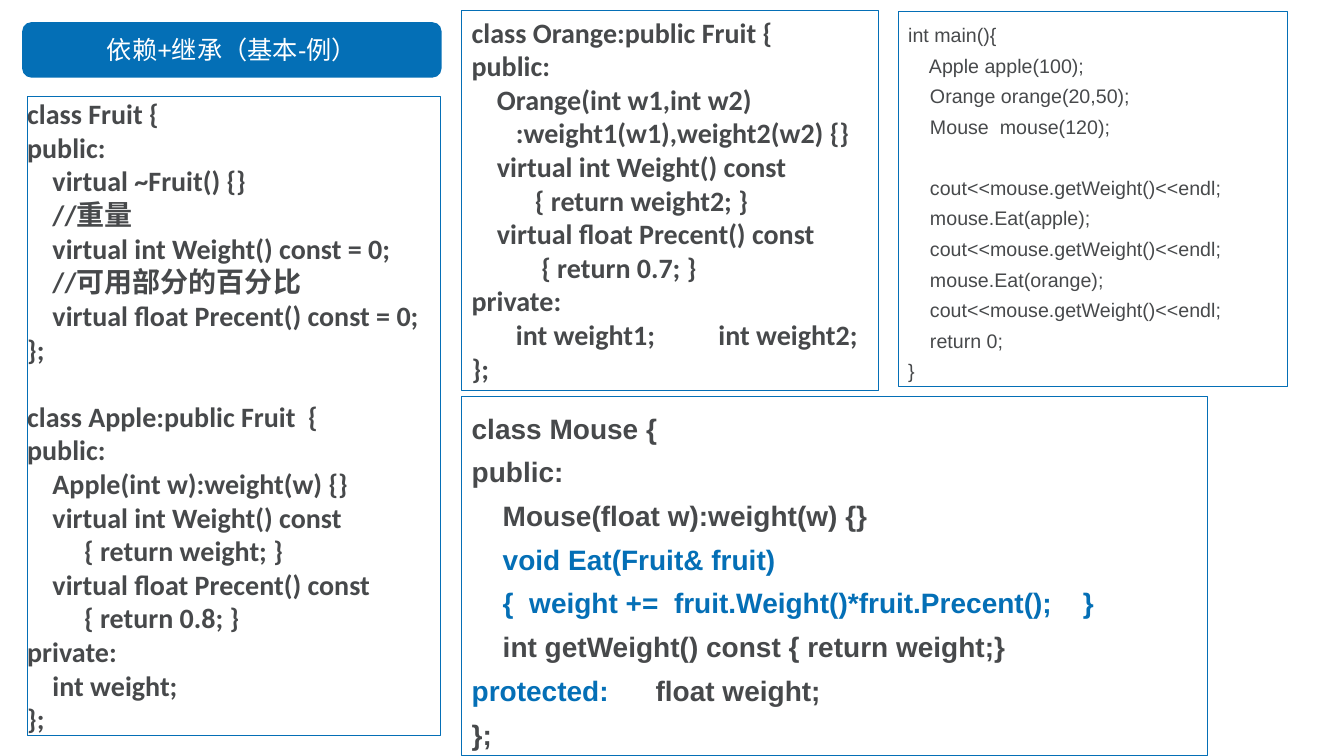
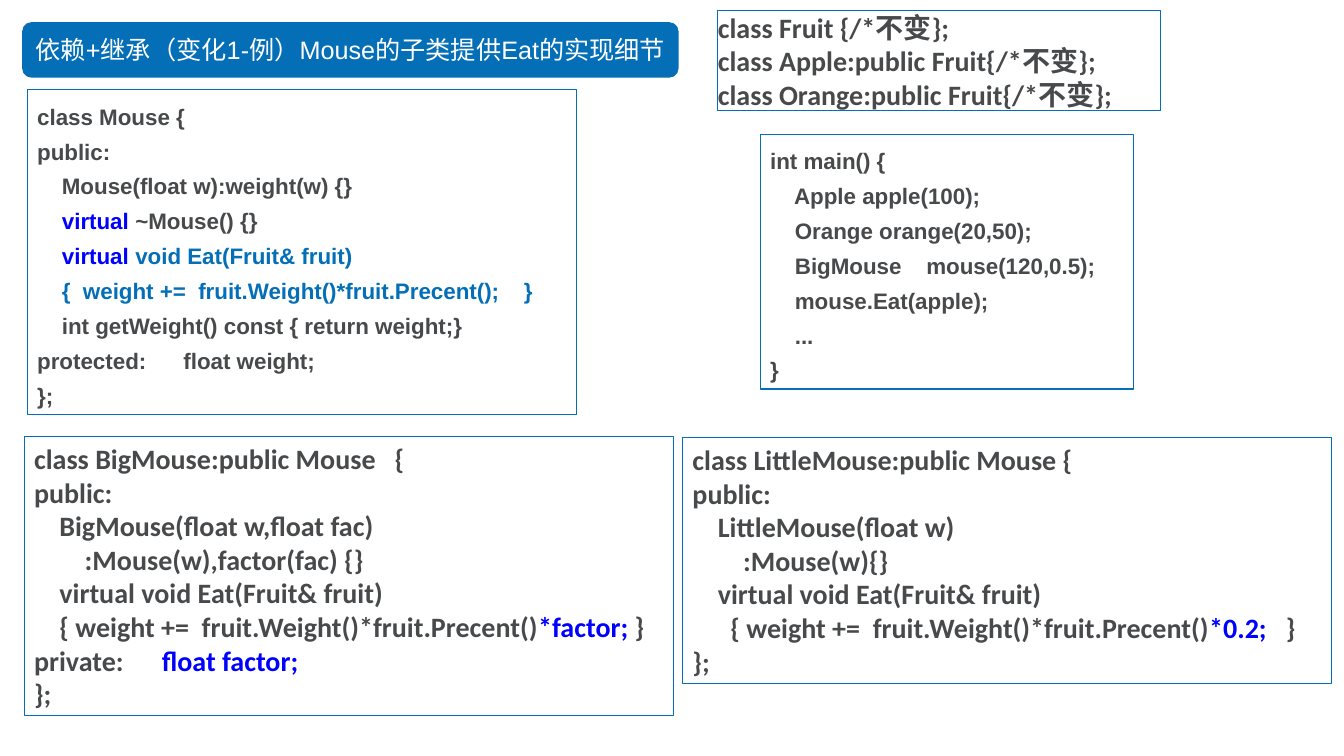
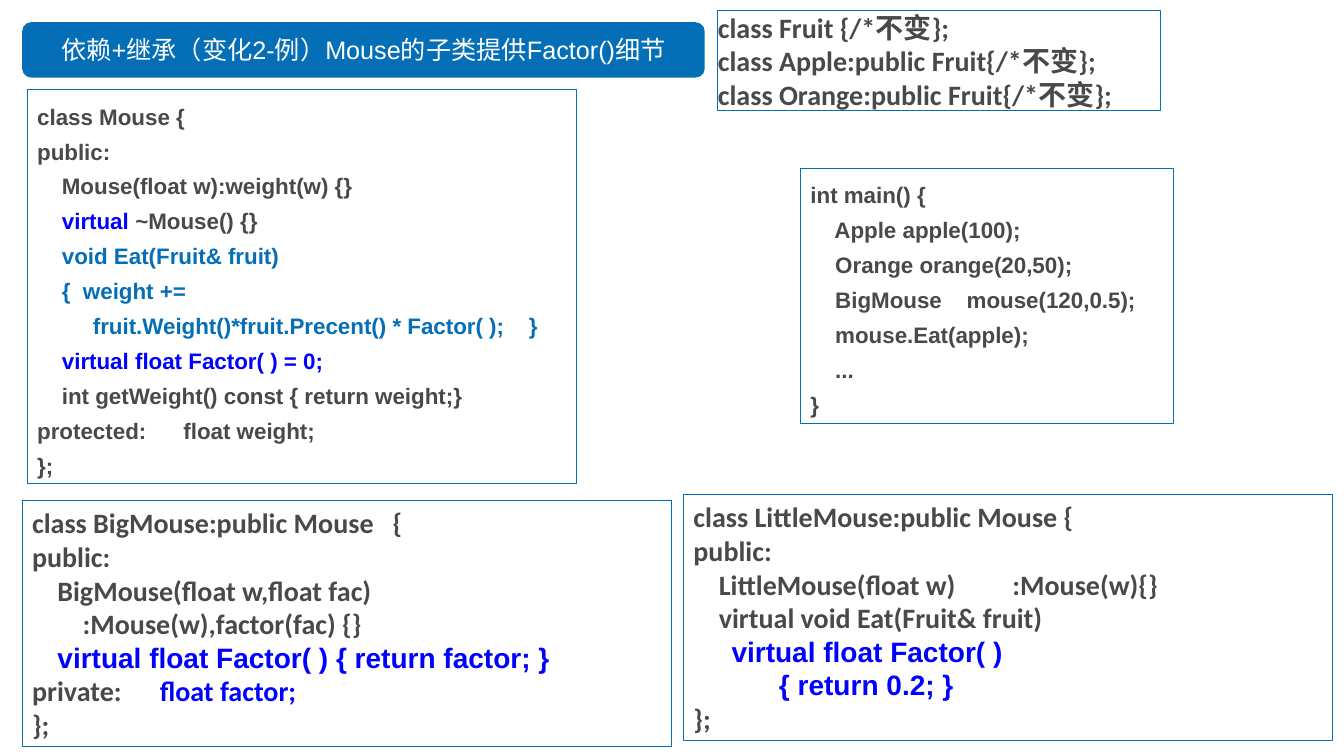
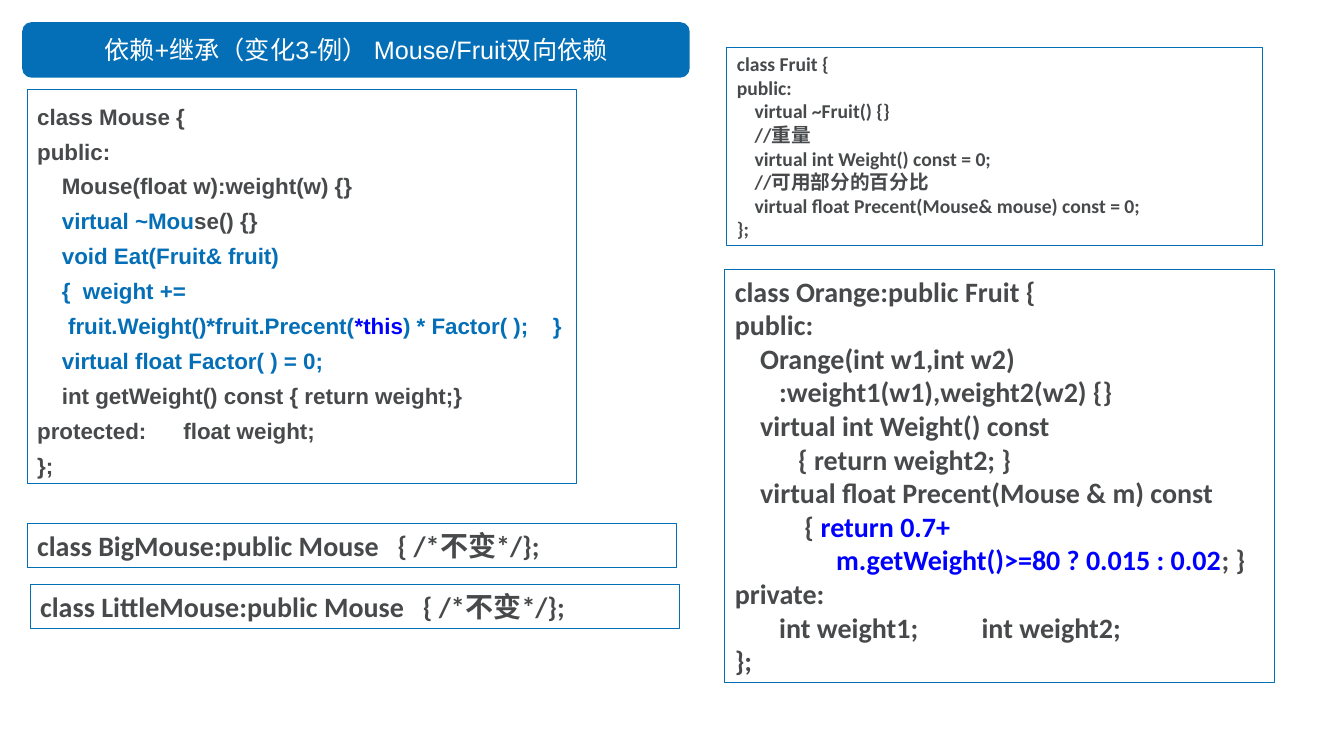
from pptx import Presentation
from pptx import util as u
from pptx.dml.color import RGBColor
from pptx.enum import shapes, text

COLORS = {"accent": "046FB6", "code": "47494B", "hot": "0000FF", "white": "FFFFFF"}

# Code formats: font, size, bold, line spacing, line height relative to size, margins
FORMATS = {
    "compact": dict(name="Calibri", size=20, bold=True, spacing=1.0),
    "flush": dict(name="Calibri", size=20, bold=True, spacing=1.0, flush=True),
    "small": dict(name="Calibri", size=14, bold=True, spacing=1.0),
    "large": dict(name="Arial", size=20, bold=True, spacing=1.3),
    "medium": dict(name="Arial", size=16, bold=True, spacing=1.3),
    "plain": dict(name="Arial", size=14, bold=False, spacing=1.3),
}
TITLE_FORMAT = dict(name="Arial", size=u.Pt(18))
TITLE_BAR = dict(left=0.22, top=0.22, height=0.55)

# A code line is a string or a list of (color, text) or (color, text, font) runs.


def fruit(percent_args=""):
    return [
        "class Fruit {",
        "public:",
        "    virtual ~Fruit() {}",
        "    //重量",
        "    virtual int Weight() const = 0;",
        "    //可用部分的百分比",
        f"    virtual float Precent({percent_args}) const = 0;",
        "};",
    ]


def orange(percent_args, percent_body):
    return [
        "class Orange:public Fruit {",
        "public:",
        "    Orange(int w1,int w2)",
        "       :weight1(w1),weight2(w2) {}",
        "    virtual int Weight() const",
        "          { return weight2; }",
        f"    virtual float Precent({percent_args}) const",
        *percent_body,
        "private:",
        "       int weight1;          int weight2;",
        "};",
    ]


def mouse(members, protected="protected:      float weight;"):
    return [
        "class Mouse {",
        "public:",
        "    Mouse(float w):weight(w) {}",
        *members,
        "    int getWeight() const { return weight;}",
        protected,
        "};",
    ]


def big_mouse(member):
    return [
        "class BigMouse:public Mouse   {",
        "public:",
        "    BigMouse(float w,float fac)",
        "        :Mouse(w),factor(fac) {}",
        *member,
        [("code", "private:      "), ("hot", "float factor;")],
        "};",
    ]


APPLE = [
    "class Apple:public Fruit  {",
    "public:",
    "    Apple(int w):weight(w) {}",
    "    virtual int Weight() const",
    "         { return weight; }",
    "    virtual float Precent() const",
    "         { return 0.8; }",
    "private:",
    "    int weight;",
    "};",
]
UNCHANGED = [
    "class Fruit {/*不变};",
    "class Apple:public Fruit{/*不变};",
    "class Orange:public Fruit{/*不变};",
]
FIRST_MAIN = [
    "int main(){",
    "    Apple apple(100);",
    "    Orange orange(20,50);",
    "    Mouse  mouse(120);",
    "",
    "    cout<<mouse.getWeight()<<endl;",
    "    mouse.Eat(apple);",
    "    cout<<mouse.getWeight()<<endl;",
    "    mouse.Eat(orange);",
    "    cout<<mouse.getWeight()<<endl;",
    "    return 0;",
    "}",
]
BIG_MAIN = [
    "int main() {",
    "    Apple apple(100);",
    "    Orange orange(20,50);",
    "    BigMouse    mouse(120,0.5);",
    "    mouse.Eat(apple);",
    "    ...",
    "}",
]
EAT = [("accent", "    void Eat(Fruit& fruit)")]
EAT_BODY = [("accent", "    {  weight +=  fruit.Weight()*fruit.Precent();    }")]
EAT_OPEN = [("accent", "    {  weight +=")]
DESTRUCTOR = [("hot", "    virtual "), ("code", "~Mouse() {}")]
VIRTUAL_EAT = "    virtual void Eat(Fruit& fruit)"
LITTLE_HEAD = ["class LittleMouse:public Mouse {", "public:"]

# Each slide: title, title width, boxes of (left, top, width, height, format, code)
SLIDES = [
    ("依赖+继承（基本-例）", 4.16, [
        (0.27, 0.96, 4.1, 6.34, "flush", fruit() + [""] + APPLE),
        (4.58, 0.1, 4.13, 3.77, "compact", orange("", ["           { return 0.7; }"])),
        (4.58, 3.93, 7.4, 3.57, "large", mouse(
            [EAT, EAT_BODY],
            [("accent", "protected: "), ("code", "     float weight;")])),
        (8.91, 0.11, 3.86, 3.73, "plain", FIRST_MAIN),
    ]),
    ("依赖+继承（变化1-例）Mouse的子类提供Eat的实现细节", 6.51, [
        (7.12, 0.1, 4.39, 1, "flush", UNCHANGED),
        (0.24, 4.33, 6.44, 2.77, "compact", big_mouse([
            VIRTUAL_EAT,
            [("code", "    { weight +=  fruit.Weight()*fruit.Precent()"),
             ("hot", "*factor;"), ("code", " }")]])),
        (0.27, 0.89, 5.45, 3.22, "medium", mouse([
            DESTRUCTOR,
            [("hot", "    virtual "), ("accent", "void Eat(Fruit& fruit)")],
            EAT_BODY])),
        (6.77, 4.34, 6.44, 2.44, "compact", LITTLE_HEAD + [
            "    LittleMouse(float w)",
            "        :Mouse(w){}",
            VIRTUAL_EAT,
            [("code", "      { weight +=  fruit.Weight()*fruit.Precent()"),
             ("hot", "*0.2;"), ("code", "   }")],
            "};"]),
        (7.54, 1.33, 3.7, 2.53, "medium", BIG_MAIN),
    ]),
    ("依赖+继承（变化2-例）Mouse的子类提供Factor()细节", 6.77, [
        (7.12, 0.1, 4.39, 1, "flush", UNCHANGED),
        (0.22, 4.97, 6.44, 2.44, "compact", big_mouse([
            [("code", "    "),
             ("hot", "virtual float Factor( ) { return factor; }", "Arial")]])),
        (0.27, 0.89, 5.45, 3.91, "medium", mouse([
            DESTRUCTOR,
            EAT,
            EAT_OPEN,
            [("accent", "         fruit.Weight()*fruit.Precent() * Factor( );    }")],
            [("hot", "    virtual float Factor( ) = 0;")]])),
        (6.78, 4.91, 6.44, 2.44, "compact", LITTLE_HEAD + [
            "    LittleMouse(float w)         :Mouse(w){}",
            VIRTUAL_EAT,
            [("code", "      "), ("hot", "virtual float Factor( )", "Arial")],
            [("hot", "           { return 0.2; }", "Arial")],
            "};"]),
        (7.94, 1.67, 3.7, 2.53, "medium", BIG_MAIN),
    ]),
    ("依赖+继承（变化3-例） Mouse/Fruit双向依赖", 6.62, [
        (0.27, 5.19, 6.44, 0.44, "compact", ["class BigMouse:public Mouse   { /*不变*/};"]),
        (0.27, 0.89, 5.45, 3.91, "medium", mouse([
            [("accent", "    virtual ~Mou"), ("code", "se() {}")],
            EAT,
            EAT_OPEN,
            [("accent", "     fruit.Weight()*fruit.Precent("), ("hot", "*this"),
             ("accent", ") * Factor( );    }")],
            [("accent", "    virtual float Factor( ) = 0;")]])),
        (0.3, 5.8, 6.44, 0.44, "compact", ["class LittleMouse:public Mouse   { /*不变*/};"]),
        (7.21, 0.47, 5.31, 1.97, "small", fruit("Mouse& mouse")),
        (7.19, 2.67, 5.45, 4.1, "compact", orange("Mouse & m", [
            [("code", "           {"), ("hot", " return 0.7+")],
            [("hot", "                m.getWeight()>=80 ? 0.015 : 0.02"), ("code", "; }")]])),
    ]),
]


def rgb(name):
    return RGBColor.from_string(COLORS[name])


def add_run(p, content, color, **font):
    r = p.add_run()
    r.text = content
    r.font.color.rgb = rgb(color)
    for key, value in font.items():
        setattr(r.font, key, value)


def add_code(s, left, top, width, height, format_name, lines):
    """Outlined code box; an empty line becomes space before the next one."""
    fmt = FORMATS[format_name]
    sp = s.shapes.add_textbox(*map(u.Inches, (left, top, width, height)))
    sp.line.color.rgb = rgb("accent")
    sp.line.width = u.Pt(0.75)
    tf = sp.text_frame
    tf.word_wrap = True
    tf.auto_size = text.MSO_AUTO_SIZE.SHAPE_TO_FIT_TEXT
    if fmt.get("flush"):
        sp.fill.solid()
        sp.fill.fore_color.rgb = rgb("white")
        for side in ("left", "top", "right", "bottom"):
            setattr(tf, f"margin_{side}", 0)
    gap = 0
    for i, line in enumerate(lines):
        if not line:
            gap = 1.2 * fmt["size"] * fmt["spacing"]
            continue
        p = tf.add_paragraph() if i else tf.paragraphs[0]
        p.line_spacing = fmt["spacing"]
        if gap:
            p.space_before = u.Pt(gap)
            gap = 0
        runs = [("code", line)] if isinstance(line, str) else line
        for color, content, *font in runs:
            add_run(p, content, color, name=font[0] if font else fmt["name"],
                    size=u.Pt(fmt["size"]), bold=fmt["bold"])


def add_title(s, title, width):
    box = (TITLE_BAR["left"], TITLE_BAR["top"], width, TITLE_BAR["height"])
    sp = s.shapes.add_shape(shapes.MSO_SHAPE.ROUNDED_RECTANGLE, *map(u.Inches, box))
    sp.shadow.inherit = False
    sp.fill.solid()
    sp.fill.fore_color.rgb = rgb("accent")
    sp.line.fill.background()
    tf = sp.text_frame
    tf.word_wrap = True
    tf.vertical_anchor = text.MSO_ANCHOR.MIDDLE
    p = tf.paragraphs[0]
    p.alignment = text.PP_ALIGN.CENTER
    add_run(p, title, "white", **TITLE_FORMAT)


def main():
    prs = Presentation()
    prs.slide_width, prs.slide_height = u.Inches(13.33), u.Inches(7.5)
    for title, title_width, boxes in SLIDES:
        s = prs.slides.add_slide(prs.slide_layouts[6])
        for box in boxes:
            add_code(s, *box)
        add_title(s, title, title_width)
    prs.save("out.pptx")


if __name__ == "__main__":
    main()
